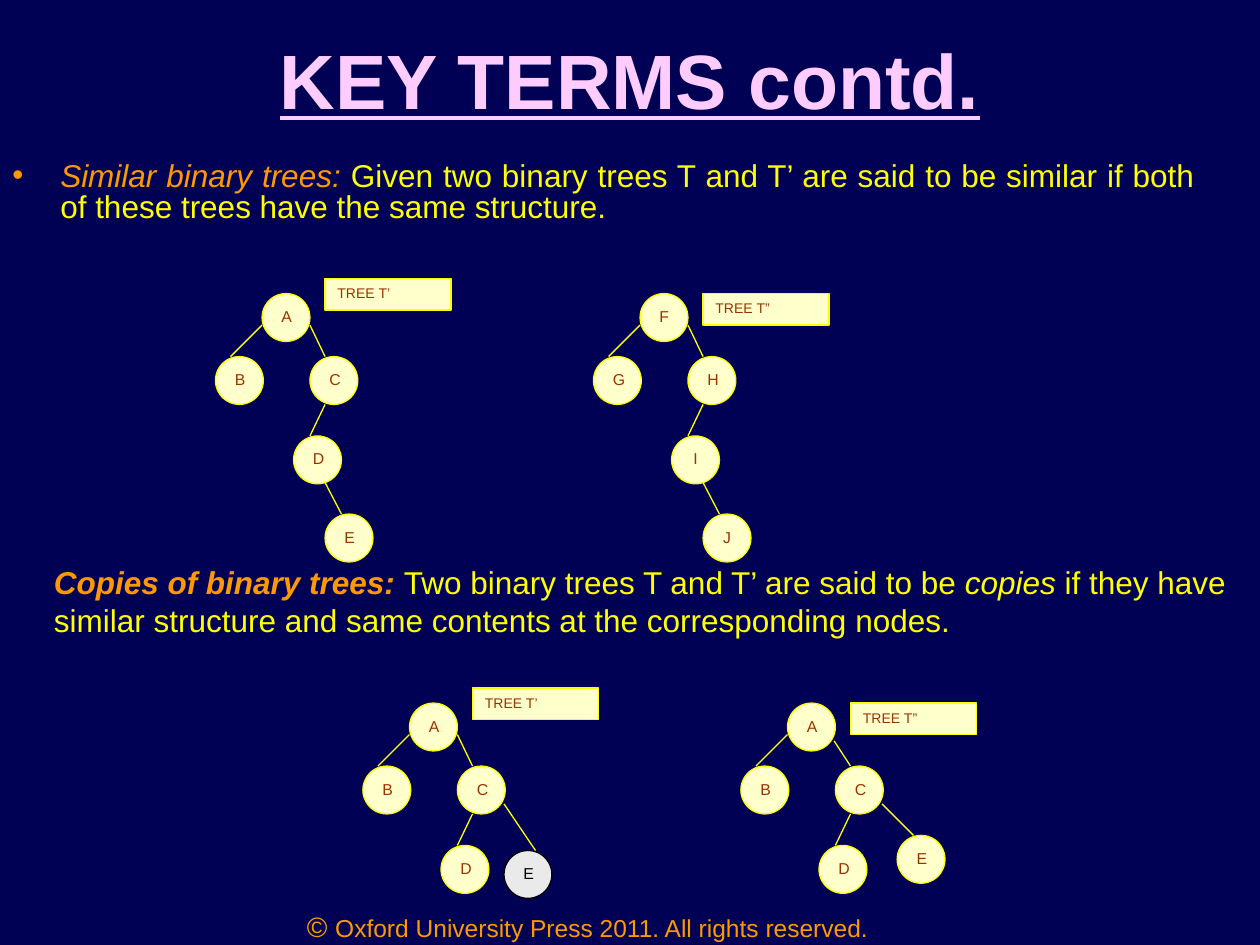
import pptx
import pptx.dml.color
import pptx.enum.shapes
import pptx.enum.text
import pptx.util
from lxml import etree
from pptx.util import Inches

ALIGN = pptx.enum.text.PP_ALIGN
ANCHOR = pptx.enum.text.MSO_ANCHOR
SHAPE = pptx.enum.shapes.MSO_SHAPE
NS = "{http://schemas.openxmlformats.org/drawingml/2006/main}"

NAVY, PINK, ORANGE, YELLOW = "000055", "FFCCFF", "FF9900", "FFFF00"
CREAM, BROWN, GREY, BLACK = "FFFFCC", "993300", "EAEAEA", "000000"
SIZE = 0.38  # node diameter

# Node and edge places, measured from the top left of the root node
NODES = [(0, 0), (-0.37, 0.5), (0.38, 0.5), (0.25, 1.13)]
EDGES = [(0, 0.25, -0.25, 0.5), (0.38, 0.25, 0.5, 0.5), (0.5, 0.88, 0.38, 1.13)]

# Left, top, letters, label text, label drop, last node, last edge
TREES = [
    (2.08, 2.33, "ABCDE", "TREE T’", -0.12, (0.5, 1.75), (0.5, 1.5, 0.63, 1.75)),
    (5.08, 2.33, "FGHIJ", "TREE T”", 0, (0.5, 1.75), (0.5, 1.5, 0.63, 1.75)),
    (3.25, 5.58, "ABCDE", "TREE T’", -0.12, (0.75, 1.17), (0.75, 0.8, 1, 1.17)),
    (6.25, 5.58, "ABCDE", "TREE T”", 0, (0.87, 1.05), (0.75, 0.8, 1, 1.05)),
]


def color(code):
    return pptx.dml.color.RGBColor.from_string(code)


def write(para, parts):
    """Add runs given as (text, size, colour, further font values)."""
    for text, size, code, extra in parts:
        run = para.add_run()
        run.text = text
        style = {"name": "Arial", "size": pptx.util.Pt(size), **extra}
        for key, value in style.items():
            setattr(run.font, key, value)
        run.font.color.rgb = color(code)


def add_text(slide, box, parts, align=ALIGN.LEFT, anchor=ANCHOR.TOP):
    shape = slide.shapes.add_textbox(*map(Inches, box))
    frame = shape.text_frame
    frame.word_wrap = True
    frame.vertical_anchor = anchor
    para = frame.paragraphs[0]
    para.alignment = align
    write(para, parts)
    return para


def add_block(slide, kind, box, text, size, align, fill=CREAM, line=YELLOW, ink=BROWN):
    shape = slide.shapes.add_shape(kind, *map(Inches, box))
    shape.shadow.inherit = False
    shape.fill.solid()
    shape.fill.fore_color.rgb = color(fill)
    shape.line.color.rgb = color(line)
    shape.line.width = pptx.util.Pt(0.75)
    frame = shape.text_frame
    frame.vertical_anchor = ANCHOR.TOP
    para = frame.paragraphs[0]
    para.alignment = align
    write(para, [(text, size, ink, {})])


def add_edge(slide, ends):
    line = slide.shapes.add_connector(
        pptx.enum.shapes.MSO_CONNECTOR.STRAIGHT, *map(Inches, ends))
    line.line.color.rgb = color(YELLOW)
    line.line.width = pptx.util.Pt(0.75)
    etree.SubElement(line._element.spPr, NS + "effectLst")


def add_tree(slide, left, top, names, label, drop, last, link, edges=EDGES, tint=None):
    """Draw a five-node tree; tint holds other colours for its last node."""
    for x1, y1, x2, y2 in [*edges, link]:
        add_edge(slide, (left + x1, top + y1, left + x2, top + y2))
    for name, (x, y) in zip(names, [*NODES, last]):
        look = tint if tint and name == names[-1] else {}
        add_block(slide, SHAPE.OVAL, (left + x, top + y, SIZE, SIZE),
                  name, 9, ALIGN.CENTER, **look)
    add_block(slide, SHAPE.RECTANGLE, (left + 0.5, top + drop, 1, 0.25),
              label, 8, ALIGN.LEFT)


def add_bullet(para, indent):
    props = para._p.get_or_add_pPr()
    props.set("marL", str(Inches(indent)))
    props.set("indent", str(-Inches(indent)))
    etree.SubElement(props, NS + "buFont", typeface="Arial")
    etree.SubElement(props, NS + "buChar", char="•")


def add_terms(slide):
    similar = add_text(slide, (0, 1.25, 9.58, 0.67), [
        ("Similar binary trees: ", 18, ORANGE, {"italic": True}),
        ("Given two binary trees T and T’ are said to be similar if both of "
         "these trees have the same structure.", 18, YELLOW, {}),
    ], ALIGN.JUSTIFY)
    similar.line_spacing = 0.8
    add_bullet(similar, 0.38)
    add_text(slide, (0.33, 4.42, 9.67, 0.7), [
        ("Copies of binary trees: ", 18, ORANGE, {"bold": True, "italic": True}),
        ("Two binary trees T and T’ are said to be ", 18, YELLOW, {}),
        ("copies ", 18, YELLOW, {"italic": True}),
        ("if they have similar structure and same contents at the "
         "corresponding nodes.", 18, YELLOW, {}),
    ])


def main():
    deck = pptx.Presentation()
    deck.slide_width, deck.slide_height = Inches(10), Inches(7.5)
    slide = deck.slides.add_slide(deck.slide_layouts[6])
    slide.background.fill.solid()
    slide.background.fill.fore_color.rgb = color(NAVY)

    add_text(slide, (2, 7.17, 5.33, 0.33), [
        ("© ", 16, ORANGE, {}),
        ("Oxford University Press 2011. All rights reserved.", 14, ORANGE, {}),
    ], ALIGN.CENTER)
    add_text(slide, (0.5, 0, 9, 1.25), [
        ("KEY TERMS contd.", 44, PINK, {"bold": True, "underline": True}),
    ], ALIGN.CENTER, ANCHOR.MIDDLE)
    add_terms(slide)

    grey = {"fill": GREY, "line": BLACK, "ink": BLACK}
    lower = [EDGES[0], (0.37, 0.3, 0.5, 0.5), EDGES[2]]
    extras = [{}, {}, {"tint": grey}, {"edges": lower}]
    for tree, extra in zip(TREES, extras):
        add_tree(slide, *tree, **extra)
    deck.save("out.pptx")


if __name__ == "__main__":
    main()
